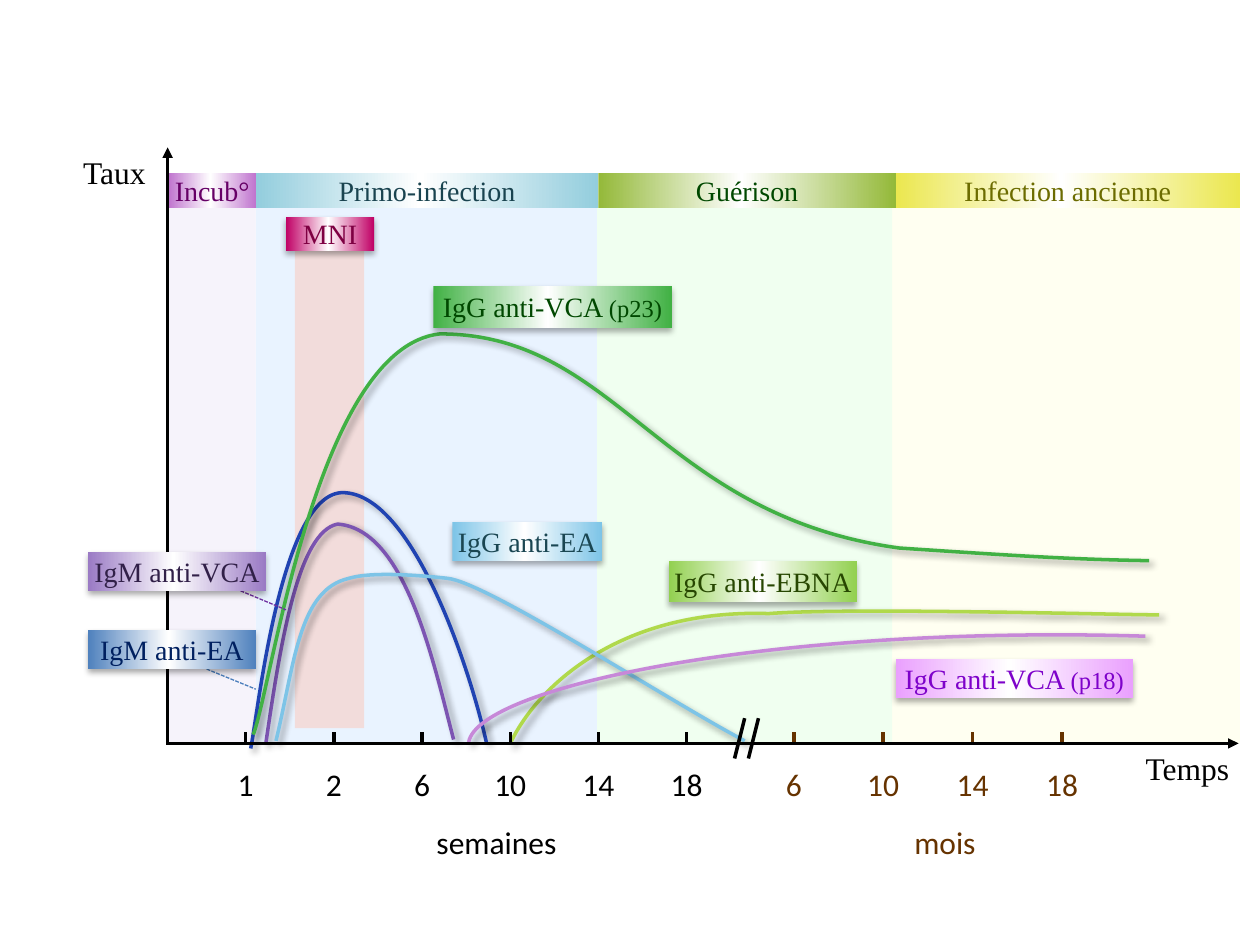
"""Build a slide charting antibody levels over time after infection."""
from copy import deepcopy
from lxml.etree import SubElement as Sub
from pptx import Presentation
from pptx.dml.color import RGBColor as RGB
from pptx.enum.dml import MSO_LINE as Dash
from pptx.enum.shapes import MSO_CONNECTOR as Link, MSO_SHAPE as Form
from pptx.enum.text import MSO_ANCHOR as Anchor, PP_ALIGN as Align
from pptx.oxml.ns import qn
from pptx.util import Inches, Pt

HUES = {
    "black": "000000", "white": "FFFFFF", "brown": "663300",
    "sky": "E9F3FF", "rose": "F2DCDB", "cream": "FFFFF1", "mint": "F0FFF0", "mist": "F6F3FB",
    "violet": "7C54B2", "blue": "2043B2", "green": "41B144", "lime": "B0D94B",
    "azure": "7DC4E7", "lilac": "C788D8", "orchid": "BE71CD", "aqua": "93CDDD",
    "olive": "94B939", "yellow": "EBE74F", "leaf": "92D050", "pink": "EAA0FE",
    "steel": "4F81BD", "mauve": "9A7AC4", "ruby": "C00065",
    "plum ink": "660066", "teal ink": "19434F", "green ink": "004800", "olive ink": "6C6C00",
    "moss ink": "274701", "purple ink": "7E02CA", "sea ink": "1A4652", "navy ink": "002060",
    "grape ink": "312048", "wine ink": "7E0042", "steel dash": "4B7EBC", "grape dash": "7030A0",
}
HUES = {name: RGB.from_string(code) for name, code in HUES.items()}
SERIF, SANS = "Times New Roman", "Calibri"

deck = Presentation()
deck.slide_width, deck.slide_height = Inches(10), Inches(7.5)
shapes = deck.slides.add_slide(deck.slide_layouts[6]).shapes


def write(shape, runs, face, hue, side=0.1, edge=0.05):
    """Fill a shape with one centred line of (text, size) runs."""
    frame = shape.text_frame
    frame.word_wrap = True
    frame.vertical_anchor = Anchor.MIDDLE
    frame.margin_left = frame.margin_right = Inches(side)
    frame.margin_top = frame.margin_bottom = Inches(edge)
    para = frame.paragraphs[0]
    para.alignment = Align.CENTER
    for text, size in runs:
        run = para.add_run()
        run.text = text
        run.font.name, run.font.size = face, Pt(size)
        run.font.color.rgb = HUES[hue]


def rule(start, end, hue="black", width=2, dash=None, arrow=False):
    """Draw a straight line, optionally dashed or ending in an arrow."""
    line = shapes.add_connector(Link.STRAIGHT, *map(Inches, start + end))
    line.line.color.rgb = HUES[hue]
    line.line.width = Pt(width)
    if dash:
        line.line.dash_style = dash
    if arrow:
        Sub(next(line.element.iter(qn("a:ln"))), qn("a:tailEnd"), type="triangle")
    Sub(next(line.element.iter(qn("p:spPr"))), qn("a:effectLst"))


bands = [
    (2.03, 1.6, 2.73, 4.3, "sky"),
    (2.34, 1.87, 0.55, 3.91, "rose"),
    (7.07, 1.6, 2.77, 4.3, "cream"),
    (4.74, 1.6, 2.34, 4.3, "mint"),
    (1.33, 1.6, 0.7, 4.3, "mist"),
]
for *place, hue in bands:
    band = shapes.add_shape(Form.RECTANGLE, *map(Inches, place))
    band.shadow.inherit = False
    band.fill.solid()
    band.fill.fore_color.rgb = HUES[hue]
    band.line.fill.background()

curves = {
    "violet": [(2.11, 5.9), (2.23, 5.08), (2.37, 4.22), (2.68, 4.16),
               (3.22, 4.2), (3.44, 5.26), (3.6, 5.87)],
    "blue": [(1.99, 5.94), (2.05, 5.65), (2.23, 3.89), (2.73, 3.91),
             (3.28, 3.93), (3.73, 5.31), (3.86, 5.89)],
    "green": [(2.01, 5.83), (2.16, 5.45), (2.51, 2.76), (3.49, 2.65),
              (4.91, 2.65), (5.23, 4.09), (7.14, 4.35),
              (8.05, 4.41), (8.5, 4.44), (9.12, 4.45)],
    "lime": [(4.05, 5.9), (4.25, 5.47), (4.9, 4.83), (6.1, 4.87),
             (6.75, 4.82), (8.9, 4.88), (9.2, 4.88)],
    "azure": [(2.19, 5.88), (2.34, 5.26), (2.37, 4.68), (2.77, 4.59),
              (2.93, 4.54), (3.28, 4.56), (3.55, 4.59),
              (3.86, 4.62), (5.27, 5.54), (5.91, 5.88)],
    "lilac": [(3.72, 5.89), (3.8, 5.45), (6.13, 4.96), (9.09, 5.05)],
}
shaded = []
for hue, dots in curves.items():
    dots = [(Inches(x), Inches(y)) for x, y in dots]
    pen = shapes.build_freeform(*dots[0])
    pen.add_line_segments(dots[1:], close=False)
    curve = pen.convert_to_shape()
    steps = list(curve.element.iter(qn("a:lnTo")))
    track = steps[0].getparent()
    for i in range(0, len(steps), 3):
        bend = Sub(track, qn("a:cubicBezTo"))
        for step in steps[i:i + 3]:
            bend.append(step[0])
            track.remove(step)
    curve.fill.background()
    curve.line.color.rgb = HUES[hue]
    curve.line.width = Pt(2)
    shaded.append((curve, 40, 4, 3, 45))

rule((1.64, 5.31), (2.03, 5.47), "steel dash", 0.75, Dash.SQUARE_DOT)
rule((1.72, 4.61), (2.27, 4.84), "grape dash", 0.75, Dash.SQUARE_DOT)
rule((1.32, 5.9), (9.83, 5.9), arrow=True)

heads = [
    (1.33, 1.37, 0.71, 0.28, "orchid", "plum ink", [("Incub°", 16)]),
    (2.03, 1.37, 2.72, 0.28, "aqua", "teal ink", [("Primo-infection", 16)]),
    (4.75, 1.37, 2.36, 0.28, "olive", "green ink", [("Guérison", 16)]),
    (7.11, 1.37, 2.73, 0.28, "yellow", "olive ink", [("Infection ancienne", 16)]),
]
labels = [
    (5.31, 4.45, 1.49, 0.33, "leaf", "moss ink", [("IgG anti-EBNA", 16)]),
    (7.11, 5.23, 1.88, 0.31, "pink", "purple ink", [("IgG anti-VCA ", 16), ("(p18)", 14)]),
    (3.44, 2.27, 1.89, 0.33, "green", "green ink", [("IgG anti-VCA ", 16), ("(p23)", 14)]),
    (3.59, 4.14, 1.19, 0.31, "azure", "sea ink", [("IgG anti-EA", 16)]),
    (0.7, 5, 1.33, 0.31, "steel", "navy ink", [("IgM anti-EA", 16)]),
    (0.7, 4.38, 1.41, 0.31, "mauve", "grape ink", [("IgM anti-VCA", 16)]),
    (2.27, 1.72, 0.7, 0.27, "ruby", "wine ink", [("MNI", 16)]),
]
for item in heads + labels:
    *place, hue, ink, runs = item
    if item is labels[0]:
        rule((1.33, 5.9), (1.33, 1.17), arrow=True)
    tag = shapes.add_shape(Form.RECTANGLE, *map(Inches, place))
    tag.shadow.inherit = False
    tag.line.fill.background()
    tag.fill.gradient()
    tag.fill.gradient_angle = 0
    stops = next(tag.element.iter(qn("a:gsLst")))
    stops.append(deepcopy(stops[0]))
    for stop, spot, tint in zip(tag.fill.gradient_stops, (0, 0.48, 1), (hue, "white", hue)):
        stop.position = spot
        stop.color.rgb = HUES[tint]
    write(tag, runs, SERIF, ink, 0.02, 0)
    if item in labels:
        shaded.append((tag, 32, 3.5, 2.2, 90))

for shape, alpha, blur, dist, angle in shaded:
    shape.shadow.inherit = False
    glow = Sub(next(shape.element.iter(qn("a:effectLst"))), qn("a:outerShdw"),
               blurRad=str(Pt(blur)), dist=str(Pt(dist)), dir=str(angle * 60000),
               algn="tl", rotWithShape="0")
    shade = Sub(glow, qn("a:srgbClr"), val=str(HUES["black"]))
    Sub(shade, qn("a:alpha"), val=str(alpha * 1000))

notes = [
    (0.47, 1.25, 0.94, 0.23, "Taux ", SERIF, "black"),
    (8.98, 5.78, 0.95, 0.63, "Temps ", SERIF, "black"),
    (3.27, 6.48, 1.34, 0.4, "semaines", SANS, "black"),
    (7.03, 6.48, 0.94, 0.4, "mois", SANS, "brown"),
]
scales = [
    (1.95, 0.7, "black", ["1", "2", "6", "10", "14", "18"]),
    (6.3, 0.71, "brown", ["6", "10", "14", "18"]),
]
for first, gap, hue, marks in scales:
    for i, mark in enumerate(marks):
        x = first + i * gap
        rule((x, 5.81), (x, 5.89), hue)
        notes.append((x - 0.3, 6.02, 0.6, 0.4, mark, SANS, hue))
for *place, text, face, hue in notes:
    write(shapes.add_textbox(*map(Inches, place)), [(text, 18)], face, hue)

for x in (5.91, 6.02):
    rule((x, 5.7), (x - 0.08, 6.02))

deck.save("out.pptx")
